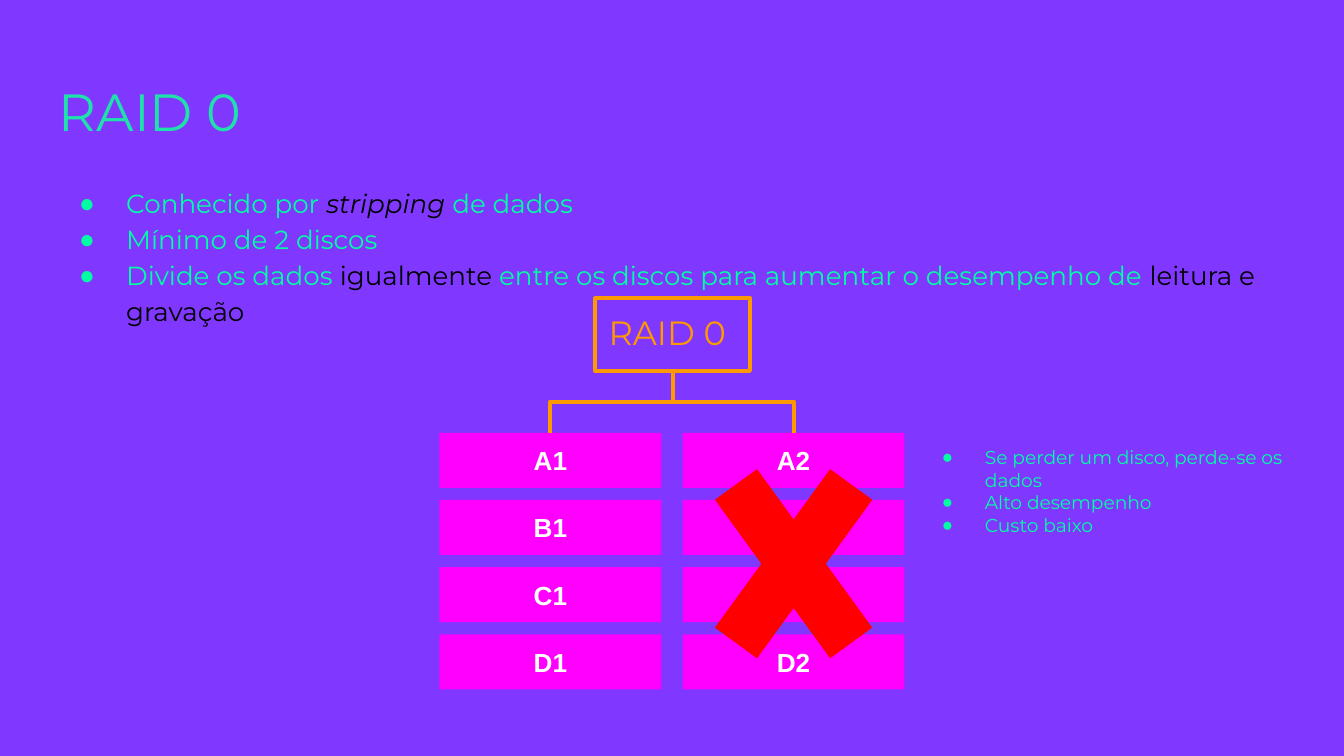
from dataclasses import dataclass

from lxml.etree import SubElement
from pptx import Presentation
from pptx.dml.color import RGBColor
from pptx.enum.shapes import MSO_CONNECTOR, MSO_SHAPE
from pptx.enum.text import MSO_ANCHOR, PP_ALIGN
from pptx.oxml.ns import qn
from pptx.util import Inches, Pt

WIDTH = 10
HEIGHT = WIDTH * 9 / 16
PURPLE, GREEN, MINT, BLACK = "8037FF", "1EE2AA", "00FFA2", "000000"
ORANGE, MAGENTA, RED, WHITE = "FF9900", "FF00FF", "FF0000", "FFFFFF"


@dataclass(frozen=True)
class Box:
    left: float
    top: float
    width: float
    height: float

    @property
    def center(self) -> float:
        return self.left + self.width / 2

    @property
    def bottom(self) -> float:
        return self.top + self.height

    def emu(self) -> list:
        return [Inches(v) for v in (self.left, self.top, self.width, self.height)]


@dataclass(frozen=True)
class Grid:
    left: float
    top: float
    col_step: float
    row_step: float
    width: float
    height: float

    def cell(self, col: int, row: int) -> Box:
        return Box(self.left + col * self.col_step, self.top + row * self.row_step,
                   self.width, self.height)


@dataclass(frozen=True)
class Run:
    text: str
    color: str
    italic: bool = False


BLOCKS = Grid(3.27, 3.22, 1.81, 0.5, 1.65, 0.41)
LABEL = Box(4.43, 2.22, 1.15, 0.54)
MARGIN = 0.34
TITLE = Box(MARGIN, 0.49, WIDTH - 2 * MARGIN, 0.63)
FACTS = Box(MARGIN, 1.26, WIDTH - 2 * MARGIN, 1.18)
NOTES = Box(6.73, BLOCKS.top, 3.05, 0.54)

FACT_LINES = [
    [Run("Conhecido por ", MINT), Run("stripping ", BLACK, True), Run("de dados", MINT)],
    [Run("Mínimo de 2 discos", MINT)],
    [Run("Divide os dados ", MINT), Run("igualmente ", BLACK),
     Run("entre os discos para aumentar o desempenho de ", MINT),
     Run("leitura e gravação", BLACK)],
]
NOTE_LINES = [[Run(t, MINT)] for t in
              ("Se perder um disco, perde-se os dados", "Alto desempenho", "Custo baixo")]


def rgb(color: str) -> RGBColor:
    return RGBColor.from_string(color)


def add_bullet(p, indent: float) -> None:
    pPr = p._p.get_or_add_pPr()
    pPr.set("marL", str(Inches(0.5)))
    pPr.set("indent", str(-Inches(indent)))
    SubElement(SubElement(pPr, qn("a:buClr")), qn("a:srgbClr"), val=MINT)
    SubElement(pPr, qn("a:buFont"), typeface="Arial")
    SubElement(pPr, qn("a:buChar"), char="●")


def write(sp, lines: list, size: float, font: str = "Montserrat", bold: bool = False,
          align=PP_ALIGN.LEFT, anchor=MSO_ANCHOR.TOP, bullet: float = 0,
          spacing: float = 1.0) -> None:
    """Fill a shape with paragraphs of runs; bullet is the hanging indent in inches."""
    tf = sp.text_frame
    frame = {"word_wrap": True, "vertical_anchor": anchor}
    frame |= {f"margin_{side}": Inches(0.1) for side in ("left", "top", "right", "bottom")}
    for name, value in frame.items():
        setattr(tf, name, value)
    for i, runs in enumerate(lines):
        p = tf.paragraphs[0] if i == 0 else tf.add_paragraph()
        p.alignment, p.line_spacing = align, spacing
        if bullet:
            add_bullet(p, bullet)
        for run in runs:
            r = p.add_run()
            r.text = run.text
            style = {"name": font, "size": Pt(size), "bold": bold, "italic": run.italic}
            for name, value in style.items():
                setattr(r.font, name, value)
            r.font.color.rgb = rgb(run.color)


def add_text(s, box: Box, lines: list, size: float, **style) -> None:
    write(s.shapes.add_textbox(*box.emu()), lines, size, **style)


def add_filled(s, kind, box: Box, color: str):
    sp = s.shapes.add_shape(kind, *box.emu())
    sp.shadow.inherit = False
    sp.fill.solid()
    sp.fill.fore_color.rgb = rgb(color)
    sp.line.fill.background()
    return sp


def draw_outline(line) -> None:
    line.color.rgb = rgb(ORANGE)
    line.width = Pt(2.25)


def add_label(s) -> None:
    sp = s.shapes.add_shape(MSO_SHAPE.RECTANGLE, *LABEL.emu())
    sp.shadow.inherit = False
    sp.fill.background()
    draw_outline(sp.line)
    SubElement(sp._element.spPr.find(qn("a:ln")), qn("a:round"))
    write(sp, [[Run("RAID 0", ORANGE)]], 18)


def add_branch(s, disk: Box) -> None:
    """Link the label to a disk with an elbow turned to leave vertically."""
    drop, run = disk.top - LABEL.bottom, disk.center - LABEL.center
    mid_x, mid_y = LABEL.center + run / 2, LABEL.bottom + drop / 2
    side = 1 if run > 0 else -1
    ends = (mid_x + side * drop / 2, mid_y - abs(run) / 2,
            mid_x - side * drop / 2, mid_y + abs(run) / 2)
    cn = s.shapes.add_connector(MSO_CONNECTOR.ELBOW, *(Inches(v) for v in ends))
    draw_outline(cn.line)
    spPr = cn._element.spPr
    spPr.find(qn("a:xfrm")).set("rot", str((180 + side * 90) * 60000))
    SubElement(spPr, qn("a:effectLst"))


def main() -> None:
    prs = Presentation()
    prs.slide_width, prs.slide_height = Inches(WIDTH), Inches(HEIGHT)
    s = prs.slides.add_slide(prs.slide_layouts[6])
    s.background.fill.solid()
    s.background.fill.fore_color.rgb = rgb(PURPLE)

    add_text(s, TITLE, [[Run("RAID 0", GREEN)]], 28)
    add_text(s, FACTS, FACT_LINES, 14, bullet=0.35, spacing=1.15)
    add_label(s)
    for row, letter in enumerate("ABCD"):
        for col in range(2):
            sp = add_filled(s, MSO_SHAPE.RECTANGLE, BLOCKS.cell(col, row), MAGENTA)
            write(sp, [[Run(f"{letter}{col + 1}", WHITE)]], 14, font="Arial", bold=True,
                  align=PP_ALIGN.CENTER, anchor=MSO_ANCHOR.MIDDLE)
    for col in range(2):
        add_branch(s, BLOCKS.cell(col, 0))

    lost = BLOCKS.cell(1, 0)
    cross = add_filled(s, MSO_SHAPE.MATH_MULTIPLY, Box(lost.left, 3.06, lost.width, 2.27), RED)
    cross.adjustments[0] = 0.235
    add_text(s, NOTES, NOTE_LINES, 10, bullet=0.32)
    prs.save("out.pptx")


if __name__ == "__main__":
    main()
